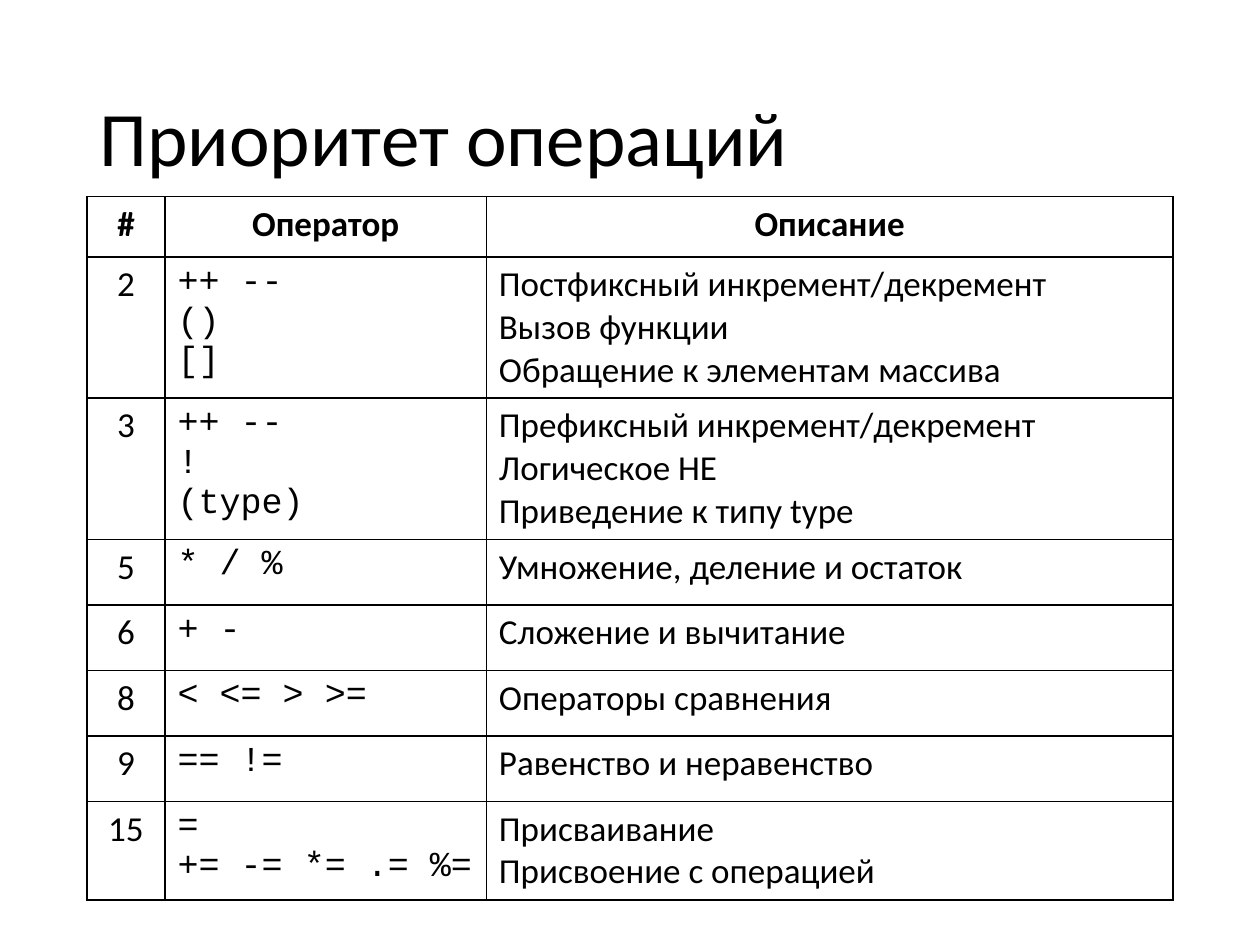
from lxml import etree
from pptx import Presentation, util as u
from pptx.dml.color import RGBColor
from pptx.enum import text
from pptx.oxml.ns import qn

BLACK = "000000"
WHITE = "FFFFFF"
BODY_FONT = "Calibri"
CODE_FONT = "Courier New"
COLUMN_WIDTHS = [0.62, 2.55, 5.45]
ROW_HEIGHTS = [0.48, 1.12, 1.12, 0.52, 0.52, 0.52, 0.52, 0.78]
HEADERS = ["#", "Оператор", "Описание"]
OPERATIONS = [
    ("2", "++ --\n()\n[]",
     "Постфиксный инкремент/декремент\nВызов функции\nОбращение к элементам массива"),
    ("3", "++ --\n!\n(type)",
     "Префиксный инкремент/декремент\nЛогическое НЕ\nПриведение к типу type"),
    ("5", "* / %", "Умножение, деление и остаток"),
    ("6", "+ -", "Сложение и вычитание"),
    ("8", "< <= > >=", "Операторы сравнения"),
    ("9", "== !=", "Равенство и неравенство"),
    ("15", "=\n+= -= *= .= %=", "Присваивание\nПрисвоение с операцией"),
]


def color(value):
    return RGBColor.from_string(value)


def set_attributes(target, values):
    for name, value in values.items():
        setattr(target, name, value)


def format_paragraph(paragraph, alignment, **font_values):
    paragraph.alignment = alignment
    for run in paragraph.runs:
        set_attributes(run.font, font_values)
        run.font.color.rgb = color(BLACK)


def add_title(slide, title):
    shape = slide.shapes.title
    set_attributes(shape, {
        "left": u.Inches(0.69), "top": u.Inches(0.4),
        "width": u.Inches(8.62), "height": u.Inches(1.45),
    })
    frame = shape.text_frame
    frame.text = title
    set_attributes(frame, {
        "vertical_anchor": text.MSO_ANCHOR.MIDDLE, "word_wrap": True,
    })
    paragraph = frame.paragraphs[0]
    paragraph.line_spacing = 0.9
    format_paragraph(paragraph, text.PP_ALIGN.LEFT, name=BODY_FONT, size=u.Pt(44))


def add_borders(cell):
    properties = cell._tc.get_or_add_tcPr()
    for position, side in enumerate(("a:lnL", "a:lnR", "a:lnT", "a:lnB")):
        line = etree.Element(qn(side), w=str(u.Pt(1)))
        fill = etree.SubElement(line, qn("a:solidFill"))
        etree.SubElement(fill, qn("a:srgbClr"), val=BLACK)
        properties.insert(position, line)


def fill_cell(cell, content, alignment, font_name, bold):
    cell.text = content
    for paragraph in cell.text_frame.paragraphs:
        format_paragraph(paragraph, alignment, name=font_name, size=u.Pt(20), bold=bold)
    cell.fill.solid()
    cell.fill.fore_color.rgb = color(WHITE)
    add_borders(cell)


def add_operations_table(slide):
    rows = [HEADERS, *OPERATIONS]
    frame = slide.shapes.add_table(
        len(rows), len(HEADERS), u.Inches(0.69), u.Inches(1.56),
        u.Inches(sum(COLUMN_WIDTHS)), u.Inches(sum(ROW_HEIGHTS)))
    table = frame.table
    set_attributes(table, {"first_row": False, "horz_banding": False})
    for column, width in zip(table.columns, COLUMN_WIDTHS):
        column.width = u.Inches(width)
    for row_index, contents in enumerate(rows):
        table.rows[row_index].height = u.Inches(ROW_HEIGHTS[row_index])
        header = row_index == 0
        for column_index, content in enumerate(contents):
            centered = header or column_index == 0
            alignment = text.PP_ALIGN.CENTER if centered else text.PP_ALIGN.LEFT
            code = column_index == 1 and not header
            fill_cell(table.cell(row_index, column_index), content, alignment,
                      CODE_FONT if code else BODY_FONT, header)


def main():
    presentation = Presentation()
    set_attributes(presentation, {
        "slide_width": u.Inches(10), "slide_height": u.Inches(7.5),
    })
    slide = presentation.slides.add_slide(presentation.slide_layouts[5])
    add_title(slide, "Приоритет операций")
    add_operations_table(slide)
    presentation.save("out.pptx")


if __name__ == "__main__":
    main()
